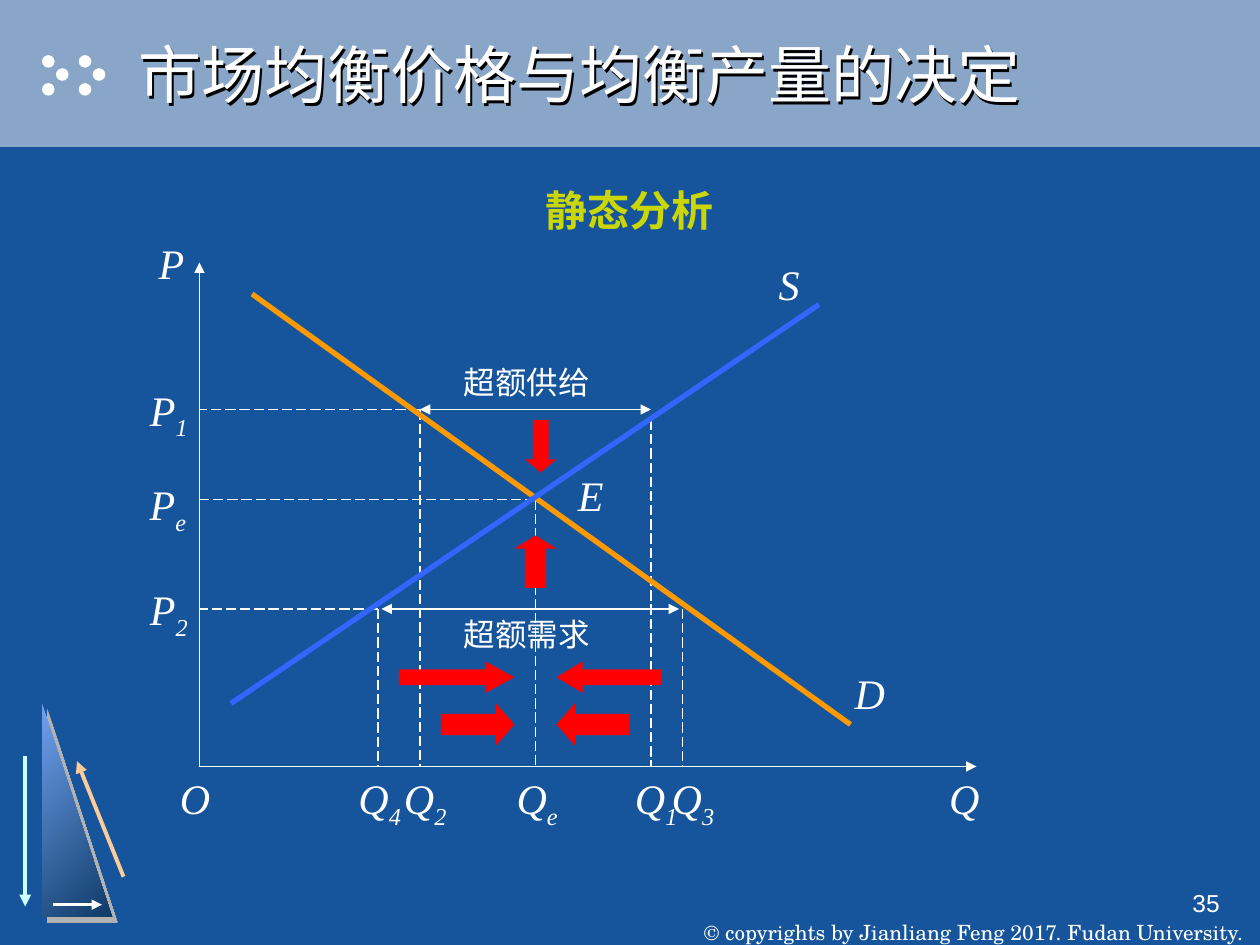
from dataclasses import dataclass

from lxml.etree import SubElement
from pptx import Presentation
from pptx.dml.color import RGBColor
from pptx.enum.dml import MSO_LINE
from pptx.enum.shapes import MSO_CONNECTOR, MSO_SHAPE as Preset
from pptx.enum.text import MSO_ANCHOR as Anchor, PP_ALIGN as Align
from pptx.oxml import parse_xml
from pptx.oxml.ns import nsdecls, qn
from pptx.util import Pt


@dataclass(frozen=True)
class Theme:
    background: str = "16559B"
    band: str = "89A5C7"
    white: str = "FFFFFF"
    accent: str = "CAD704"
    demand: str = "FF9900"
    supply: str = "3366FF"
    pressure: str = "FF0000"
    triangle_light: str = "6FA2ED"
    triangle_dark: str = "0F3A68"
    triangle_shadow: str = "B2B2B2"
    title_shadow: str = "000000"
    down_arrow: str = "CCFFFF"
    up_arrow: str = "FFCC99"
    sans: str = "Arial"
    serif: str = "Times New Roman"
    chinese: str = "Noto Sans CJK SC"
    footer_font: str = "TeX Gyre Schola"
    title_size: int = 36
    label_size: int = 24
    note_size: int = 18
    number_size: int = 14
    footer_size: int = 12


THEME = Theme()


def color(value):
    return RGBColor.from_string(value)


def add_shadow(shape, value, distance):
    shape.shadow.inherit = True
    shape._element.spPr.append(parse_xml(
        f'<a:effectLst {nsdecls("a")}>'
        f'<a:outerShdw dist="{Pt(distance)}" dir="2700000" algn="tl" rotWithShape="0">'
        f'<a:srgbClr val="{value}"/></a:outerShdw></a:effectLst>'
    ))


def add_solid(slide, preset, left, top, width, height, fill):
    shape = slide.shapes.add_shape(preset, Pt(left), Pt(top), Pt(width), Pt(height))
    shape.shadow.inherit = False
    shape.fill.solid()
    shape.fill.fore_color.rgb = color(fill)
    shape.line.fill.background()
    return shape


def add_line(slide, start, end, stroke=THEME.white, width=0.75, dashed=False, arrows=()):
    connector = slide.shapes.add_connector(
        MSO_CONNECTOR.STRAIGHT, *(Pt(value) for value in (*start, *end)))
    connector.line.color.rgb = color(stroke)
    connector.line.width = Pt(width)
    if dashed:
        connector.line.dash_style = MSO_LINE.LONG_DASH
    properties = connector._element.spPr
    for arrow in arrows:
        SubElement(properties.find(qn("a:ln")), qn(f"a:{arrow}"), type="triangle")
    SubElement(properties, qn("a:effectLst"))


def add_text(slide, left, top, width, height, text, size, font, fill=THEME.white,
             align=Align.CENTER, anchor=Anchor.TOP, subscript="", wrap=False,
             bold=False, italic=False):
    box = slide.shapes.add_textbox(Pt(left), Pt(top), Pt(width), Pt(height))
    frame = box.text_frame
    frame.text = text
    frame.word_wrap = wrap
    frame.vertical_anchor = anchor
    paragraph = frame.paragraphs[0]
    paragraph.alignment = align
    if subscript:
        run = paragraph.add_run()
        run.text = subscript
        run._r.get_or_add_rPr().set("baseline", "-25000")
    for run in paragraph.runs:
        run.font.size = Pt(size)
        run.font.name = font
        run.font.color.rgb = color(fill)
        run.font.bold = bold
        run.font.italic = italic
        SubElement(run._r.get_or_add_rPr(), qn("a:ea"), typeface=THEME.chinese)
    return box


def add_header(slide, left, top, width, height):
    add_solid(slide, Preset.RECTANGLE, left, top, width, height, THEME.band)
    for group in (24, 45):
        for x, y in ((0, 31.5), (8, 39), (0, 47.5)):
            add_solid(slide, Preset.OVAL, left + group + x, top + y, 7.2, 7.2, THEME.white)
    title = add_text(slide, left + 72, top + 3, width - 72, height - 6,
                     "市场均衡价格与均衡产量的决定", THEME.title_size, THEME.sans,
                     align=Align.LEFT, anchor=Anchor.MIDDLE, wrap=True)
    add_shadow(title, THEME.title_shadow, 2)


def add_emblem(slide, left, top, width, height):
    triangle = add_solid(slide, Preset.RIGHT_TRIANGLE, left + 10, top, width - 16.5, height,
                         THEME.triangle_light)
    triangle.fill.gradient()
    triangle.fill.gradient_angle = 315
    for stop, fill in zip(triangle.fill.gradient_stops,
                          (THEME.triangle_light, THEME.triangle_dark)):
        stop.color.rgb = color(fill)
    add_shadow(triangle, THEME.triangle_shadow, 4.2)
    for start, end, stroke, weight in (
        ((0.4, 30), (0.4, 116), THEME.down_arrow, 2.25),
        ((56.6, 99), (30, 33), THEME.up_arrow, 2.25),
        ((16.3, 115), (44.3, 115), THEME.white, 1.5),
    ):
        add_line(slide, (left + start[0], top + start[1]), (left + end[0], top + end[1]),
                 stroke, weight, arrows=("tailEnd",))


def add_footer(slide, left, top, width, height):
    notice = add_text(slide, left + 1.5, top, width, height,
                      "© copyrights by Jianliang Feng 2017. Fudan University.",
                      THEME.footer_size, THEME.footer_font, anchor=Anchor.BOTTOM)
    notice.text_frame.margin_bottom = 0
    number = add_text(slide, left + 168, top, 150, height, "35", THEME.number_size,
                      THEME.sans, align=Align.RIGHT, wrap=True)
    number.text_frame.margin_right = Pt(11)


def add_market_diagram(slide, left, top, width, height):
    def line(start, end, **style):
        add_line(slide, (left + start[0], top + start[1]),
                 (left + end[0], top + end[1]), **style)

    axis_x, axis_y = 36, height - 40
    price_1, price_e, price_2 = 102, 153.5, 216
    quantity_4, quantity_2, quantity_e, quantity_1, quantity_3 = 138, 162, 228, 294, 312

    for end in ((axis_x, 18), (width - 10, axis_y)):
        line((axis_x, axis_y), end, arrows=("tailEnd",))
    for price, quantity in ((price_1, quantity_2), (price_e, quantity_e),
                            (price_2, quantity_4)):
        line((quantity, price), (axis_x, price), dashed=True)
    for quantity, start in ((quantity_4, price_2), (quantity_2, price_1),
                            (quantity_e, price_e), (quantity_1, price_1 + 6),
                            (quantity_3, price_2)):
        line((quantity, start), (quantity, axis_y), dashed=True)
    line((66, 36), (408, 282), stroke=THEME.demand, width=3)
    line((54, 270), (390, 42), stroke=THEME.supply, width=3)
    for start, end, price in ((quantity_2, quantity_1, price_1),
                              (quantity_4 + 2, quantity_3 - 2, price_2)):
        line((start, price), (end, price), arrows=("headEnd", "tailEnd"))

    for letter, subscript, center, y in (
        ("P", "", 20, 0), ("P", "1", 18.5, 84), ("P", "e", 18, 138), ("P", "2", 18.5, 198),
        ("O", "", 33.5, axis_y), ("Q", "4", 139, axis_y), ("Q", "2", 165, axis_y),
        ("Q", "e", 229, axis_y), ("Q", "1", 297, axis_y), ("Q", "3", 318, axis_y),
        ("Q", "", 473, axis_y), ("S", "", 373, 12), ("D", "", 419, 246), ("E", "", 259.5, 133),
    ):
        add_text(slide, left + center - 26, top + y, 52, 40 if subscript else 36, letter,
                 THEME.label_size, THEME.serif, subscript=subscript, italic=True)
    for note, y in (("超额供给", price_1 - 30), ("超额需求", price_2)):
        add_text(slide, left + 168, top + y, 110, 29, note, THEME.note_size, THEME.serif)

    for preset, x, y, arrow_width, arrow_height in (
        (Preset.DOWN_ARROW, 222, 108, 18, 30),
        (Preset.UP_ARROW, 216, 174, 24, 30),
        (Preset.RIGHT_ARROW, 150, 246, 66, 18),
        (Preset.LEFT_ARROW, 240, 246, 60, 18),
        (Preset.RIGHT_ARROW, 174, 270, 42, 24),
        (Preset.LEFT_ARROW, 240, 270, 42, 24),
    ):
        arrow = add_solid(slide, preset, left + x, top + y, arrow_width, arrow_height,
                          THEME.pressure)
        shorter, longer = sorted((arrow_width, arrow_height))
        arrow.adjustments[1] = longer / 4 / shorter


def add_subtitle(slide, left, top, width, height):
    box = add_text(slide, left, top, width, height, "静态分析", THEME.label_size,
                   THEME.chinese, THEME.accent, wrap=True, bold=True)
    box.text_frame.paragraphs[0].line_spacing = 1.2


def main():
    presentation = Presentation()
    presentation.slide_width, presentation.slide_height = Pt(720), Pt(540)
    slide = presentation.slides.add_slide(presentation.slide_layouts[6])
    slide.background.fill.solid()
    slide.background.fill.fore_color.rgb = color(THEME.background)
    add_header(slide, 0, 0, 720, 84)
    add_emblem(slide, 14, 402, 56.5, 122)
    add_footer(slide, 390, 504, 330, 36)
    add_subtitle(slide, 66, 96, 588, 48)
    add_market_diagram(slide, 78, 132, 490, 346)
    presentation.save("out.pptx")


if __name__ == "__main__":
    main()
